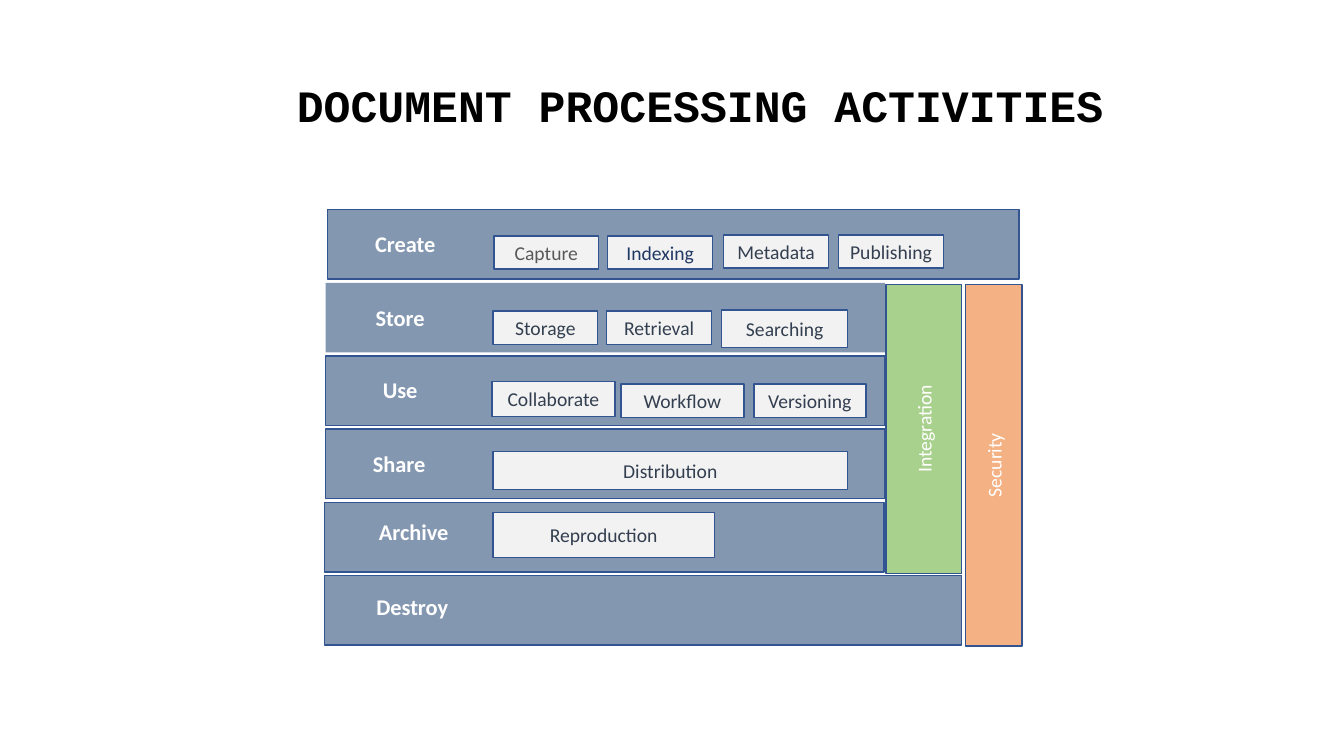
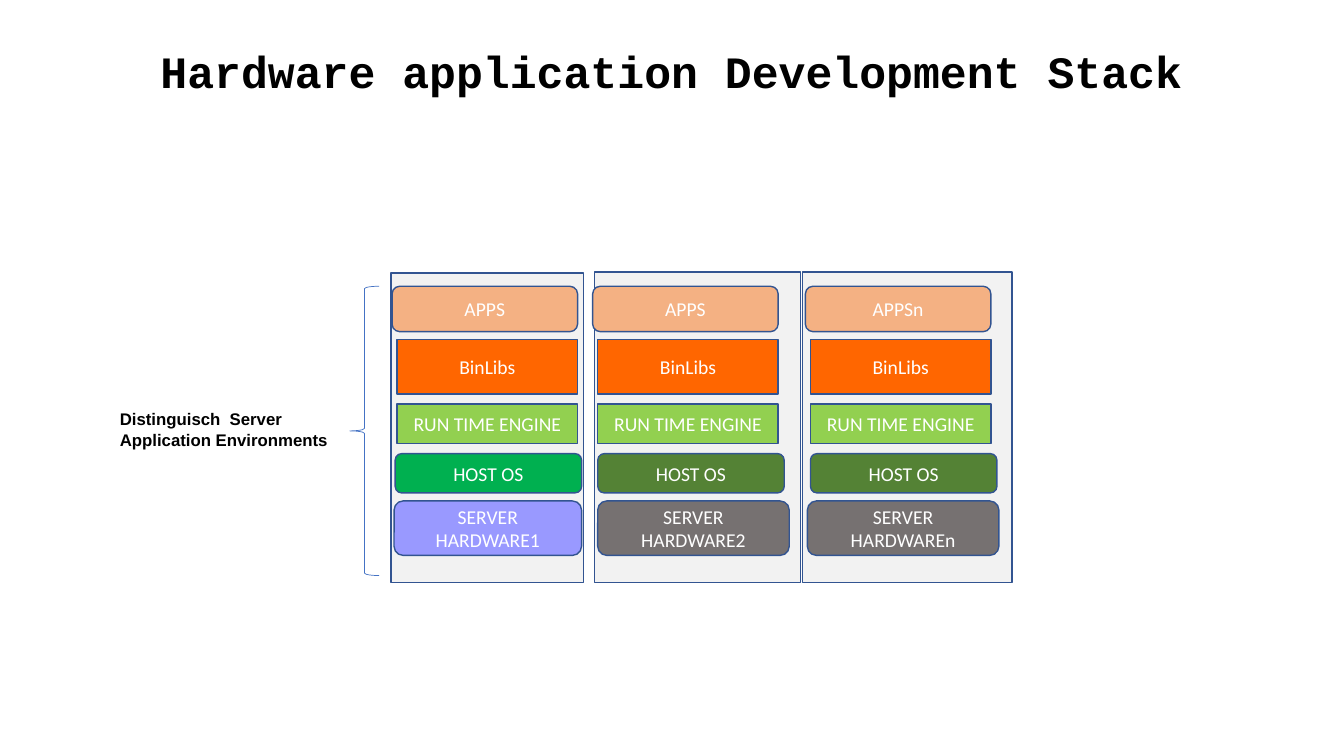
"""Build two slides: document processing activities and a hardware application stack."""
from pptx import Presentation
from pptx.dml.color import RGBColor as RGB
from pptx.enum.shapes import MSO_SHAPE as SHAPE
from pptx.enum.text import MSO_ANCHOR as ANCHOR, PP_ALIGN as ALIGN
from pptx.util import Inches, Pt

COLORS = {
    "ink": "000000", "white": "FFFFFF", "outline": "325491", "brace": "4472C4",
    "band": "8497B0", "panel": "F2F2F2", "slate": "333F50", "navy": "203864",
    "gray": "595959", "sage": "A9D18E", "peach": "F4B183", "orange": "FF6600",
    "lime": "92D050", "emerald": "00B050", "forest": "548235",
    "violet": "9999FF", "stone": "767171",
}
CELL = 0.1


def color(name):
    return RGB.from_string(COLORS[name])


def grid(*cells):
    return [Inches(cell * CELL) for cell in cells]


def write(frame, text, font="Calibri", size=14, ink="white", bold=False,
          align=ALIGN.CENTER, anchor=ANCHOR.MIDDLE, spacing=None):
    frame.word_wrap = True
    frame.vertical_anchor = anchor
    for number, line in enumerate(text.split("\n")):
        paragraph = frame.add_paragraph() if number else frame.paragraphs[0]
        paragraph.alignment = align
        paragraph.line_spacing = spacing
        run = paragraph.add_run()
        run.text = line
        run.font.name = font
        run.font.size = Pt(size)
        run.font.bold = bold
        run.font.color.rgb = color(ink)


class Deck:
    def __init__(self):
        self.show = Presentation()
        self.show.slide_width, self.show.slide_height = grid(133.33, 75)
        self.slide = None

    def start(self, title, *place):
        self.slide = self.show.slides.add_slide(self.show.slide_layouts[6])
        self.note(title, *place, font="Courier New", size=32, spacing=0.9)

    def note(self, text, *place, **style):
        frame = self.slide.shapes.add_textbox(*grid(*place)).text_frame
        write(frame, text, ink="ink", bold=True, **style)

    def shape(self, kind, *place, fill=None, line="outline", weight=1):
        shape = self.slide.shapes.add_shape(kind, *grid(*place))
        shape.shadow.inherit = False
        if fill:
            shape.fill.solid()
            shape.fill.fore_color.rgb = color(fill)
        else:
            shape.fill.background()
        if line:
            shape.line.color.rgb = color(line)
            shape.line.width = Pt(weight)
        else:
            shape.line.fill.background()
        return shape

    def box(self, text, *place, fill="panel", kind=SHAPE.RECTANGLE, **style):
        shape = self.shape(kind, *place, fill=fill)
        write(shape.text_frame, text, **style)
        return shape

    def label(self, text, *place):
        shape = self.shape(SHAPE.OVAL, *place, line=None)
        write(shape.text_frame, text, size=16, bold=True)

    def pillar(self, text, *place, fill):
        shape = self.box(text, *place, fill=fill)
        shape.element.txBody.bodyPr.set("vert", "vert270")

    def brace(self, *place):
        self.shape(SHAPE.LEFT_BRACE, *place, line="brace", weight=0.5)


BAND_TOP, BAND_PITCH, BAND_HEIGHT = 20.8, 7.26, 6.9
# stage, band left and width, outline, label place, activities
STAGES = [
    ("Create", 32.5, 68.6, "outline", (33.8, 0.4, 12.8), [
        ("Capture", 49, 2.6, 10.4, 3.3, "gray"),
        ("Indexing", 60.3, 2.6, 10.4, 3.3, "navy"),
        ("Metadata", 71.8, 2.5, 10.4, 3.3, "slate"),
        ("Publishing", 83.2, 2.5, 10.4, 3.3, "slate")]),
    ("Store", 32.3, 55.5, None, (33.3, 0.4, 12.8), [
        ("Storage", 48.9, 2.8, 10.4, 3.3, "slate"),
        ("Retrieval", 60.2, 2.8, 10.4, 3.3, "slate"),
        ("Searching", 71.6, 2.7, 12.5, 3.7, "slate")]),
    ("Use", 32.3, 55.5, "outline", (33.3, 0.3, 12.8), [
        ("Collaborate", 48.8, 2.5, 12.2, 3.5, "slate"),
        ("Workflow", 61.6, 2.8, 12.2, 3.3, "slate"),
        ("Versioning", 74.8, 2.8, 11.1, 3.3, "slate")]),
    ("Share", 32.3, 55.5, "outline", (33.2, 0.4, 12.8), [
        ("Distribution", 48.9, 2.2, 35.2, 3.8, "slate")]),
    ("Archive", 32.2, 55.5, "outline", (33.1, -0.1, 15.9), [
        ("Reproduction", 48.9, 1, 22, 4.5, "slate")]),
    ("Destroy", 32.2, 63.2, "outline", (33, 0.1, 15.8), []),
]


def activities(deck):
    deck.start("DOCUMENT PROCESSING ACTIVITIES", 12, 4.5, 115, 12.5)
    for row, (stage, left, width, line, label, tasks) in enumerate(STAGES):
        top = BAND_TOP + row * BAND_PITCH
        deck.shape(SHAPE.RECTANGLE, left, top, width, BAND_HEIGHT, fill="band", line=line)
        label_left, drop, label_width = label
        deck.label(stage, label_left, top + drop, label_width, 6)
        for task, task_left, inset, task_width, height, ink in tasks:
            deck.box(task, task_left, top + inset, task_width, height, ink=ink)
    deck.pillar("Integration", 87.9, 28.2, 7.5, 28.7, fill="sage")
    deck.pillar("Security", 95.8, 28.2, 5.6, 35.9, fill="peach")


# panel place, stack left, server left and width, host left, and wording and fills
SERVERS = [
    ((38.8, 27.1, 19.1, 30.7), 39.4, 39.1, 18.6, 39.2, "APPS", "1", "emerald", "violet"),
    ((59, 27, 20.4, 30.8), 59.3, 59.3, 19, 59.3, "APPS", "2", "forest", "stone"),
    ((79.6, 27, 20.8, 30.8), 80.4, 80.1, 19, 80.4, "APPSn", "n", "forest", "stone"),
]


def stack(deck):
    deck.start("Hardware application Development Stack", 3.5, 0.1, 126.3, 14.5)
    rounded = SHAPE.ROUNDED_RECTANGLE
    for panel, left, server, width, host, apps, suffix, host_fill, server_fill in SERVERS:
        deck.shape(SHAPE.RECTANGLE, *panel, fill="panel")
        deck.box(apps, left - 0.5, 28.4, 18.4, 4.5, fill="peach", kind=rounded)
        deck.box("BinLibs", left, 33.7, 17.9, 5.4, fill="orange")
        deck.box("RUN TIME ENGINE", left, 40.1, 17.9, 3.9, fill="lime")
        deck.box("HOST OS", host, 45, 18.5, 3.9, fill=host_fill, kind=rounded)
        deck.box("SERVER HARDWARE" + suffix, server, 49.7, width, 5.4,
                 fill=server_fill, kind=rounded)
    deck.brace(34.7, 28.4, 2.9, 28.7)
    deck.note("Distinguisch  Server\nApplication Environments", 10.9, 40.1, 23.8, 5,
              font="Arial", size=12, align=ALIGN.LEFT, anchor=ANCHOR.TOP)


deck = Deck()
activities(deck)
stack(deck)
deck.show.save("out.pptx")
